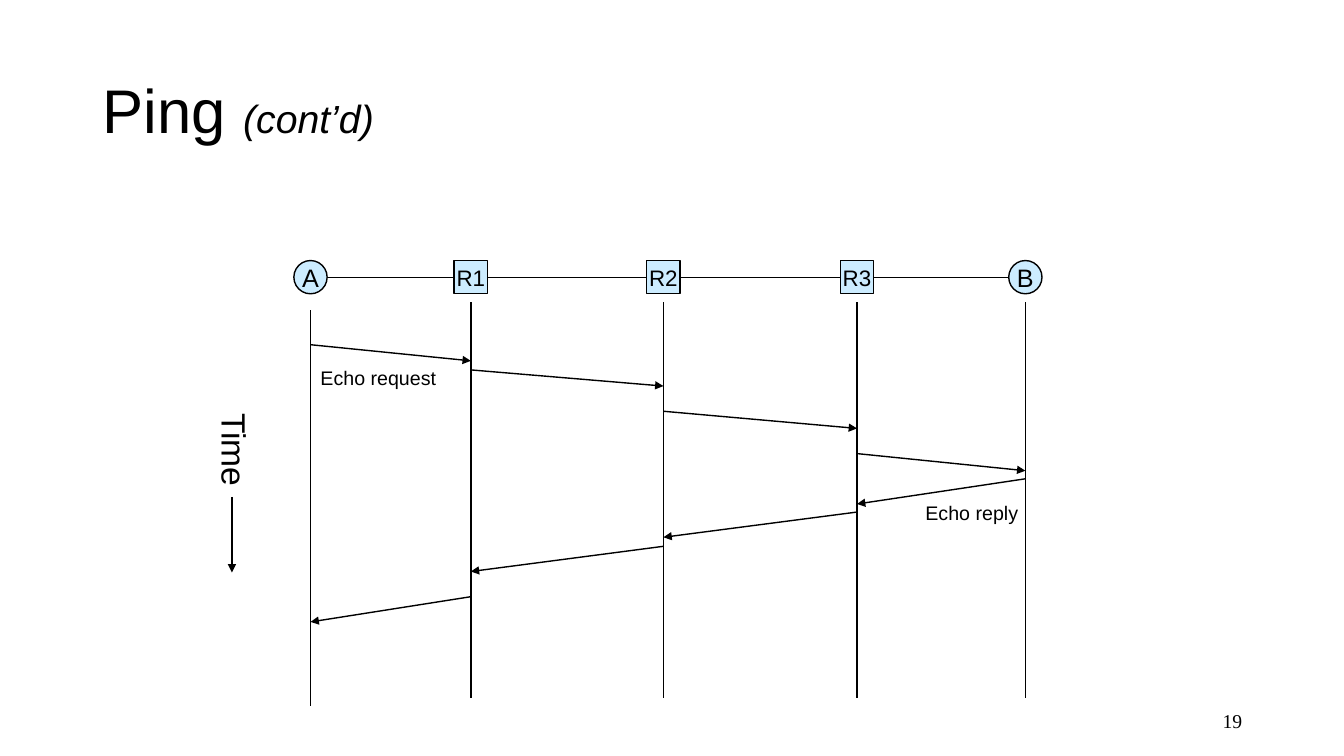
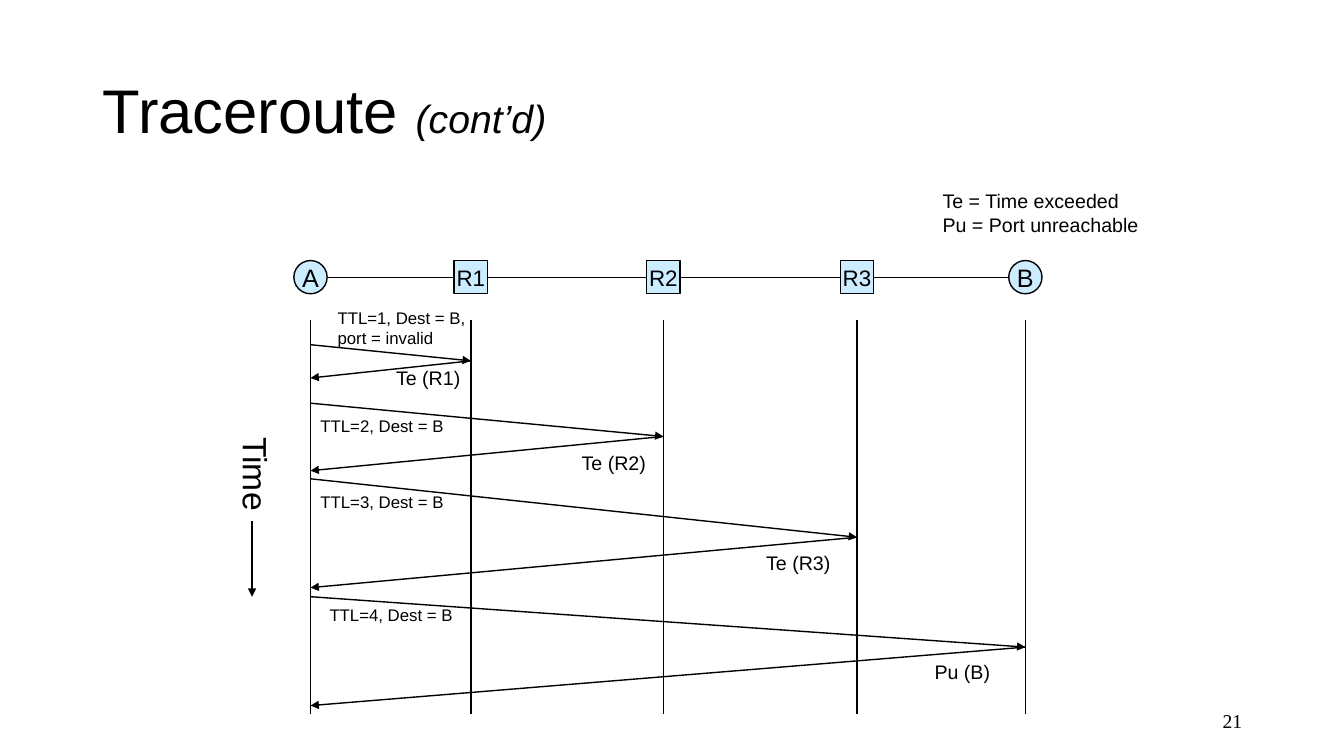
from lxml.etree import SubElement
from pptx import Presentation
from pptx.dml.color import RGBColor
from pptx.enum.shapes import MSO_CONNECTOR, MSO_SHAPE
from pptx.enum.text import MSO_ANCHOR, MSO_AUTO_SIZE, PP_ALIGN
from pptx.oxml.ns import qn
from pptx.util import Inches, Pt

BLACK = RGBColor(0x00, 0x00, 0x00)
SKY = RGBColor(0xCC, 0xEC, 0xFF)

# Content: hosts and routers with the x of each centre
NODES = {"A": 3.08, "R1": 4.67, "R2": 6.58, "R3": 8.5, "B": 10.17}
HOSTS = ("A", "B")
SIDE, MID = 0.33, 2.75

# starts: top of each lifeline; span: lifeline length
# time: box left and top, then arrow x and top
# hops: sender, receiver, y sent, y received
# notes: text, left, top, width, height, size
SLIDES = [
    {
        "title": "Ping ", "page": "19",
        "starts": [3.08, 3, 3, 3, 3], "span": 3.92,
        "time": (1.86, 4.22, 2.3, 4.93),
        "hops": [
            ("A", "R1", 3.42, 3.58), ("R1", "R2", 3.67, 3.83),
            ("R2", "R3", 4.08, 4.25), ("R3", "B", 4.5, 4.67),
            ("B", "R3", 4.75, 5), ("R3", "R2", 5.08, 5.33),
            ("R2", "R1", 5.42, 5.67), ("R1", "A", 5.92, 6.17),
        ],
        "notes": [
            ("Echo request", 3.08, 3.58, 1.35, 0.33, 14),
            ("Echo reply", 9.08, 4.92, 1.12, 0.33, 14),
        ],
    },
    {
        "title": "Traceroute ", "page": "21",
        "starts": [3.17] * 5, "span": 3.91,
        "time": (2.07, 4.46, 2.5, 5.17),
        "hops": [
            ("A", "R1", 3.42, 3.58), ("R1", "A", 3.58, 3.75),
            ("A", "R2", 4, 4.33), ("R2", "A", 4.33, 4.67),
            ("A", "R3", 4.75, 5.33), ("R3", "A", 5.33, 5.83),
            ("A", "B", 5.92, 6.42), ("B", "A", 6.42, 7),
        ],
        "notes": [
            ("TTL=1, Dest = B,\nport = invalid", 3.25, 3, 1.53, 0.5, 12),
            ("TTL=2, Dest = B", 3.08, 4.08, 1.44, 0.3, 12),
            ("TTL=3, Dest = B", 3.08, 4.83, 1.44, 0.3, 12),
            ("TTL=4, Dest = B", 3.17, 5.95, 1.44, 0.3, 12),
            ("Te (R1)", 3.83, 3.58, 0.86, 0.33, 14),
            ("Te (R2)", 5.67, 4.42, 0.86, 0.33, 14),
            ("Te (R3)", 7.5, 5.42, 0.86, 0.33, 14),
            ("Pu (B)", 9.17, 6.5, 0.75, 0.33, 14),
            ("Te = Time exceeded\nPu = Port unreachable",
             9.25, 1.83, 2.15, 0.57, 14),
        ],
    },
]


def style(font, size, **more):
    values = {"name": "Arial", "size": Pt(size), **more}
    for key, value in values.items():
        setattr(font, key, value)
    font.color.rgb = BLACK


def line(slide, x1, y1, x2, y2, arrow=False):
    link = slide.shapes.add_connector(
        MSO_CONNECTOR.STRAIGHT, Inches(x1), Inches(y1), Inches(x2), Inches(y2))
    link.line.color.rgb = BLACK
    link.line.width = Pt(1)
    if arrow:
        SubElement(link.line._get_or_add_ln(), qn("a:tailEnd"), type="triangle")
    SubElement(link._element.spPr, qn("a:effectLst"))


def box(slide, left, top, width, height):
    return slide.shapes.add_textbox(
        Inches(left), Inches(top), Inches(width), Inches(height))


def label(slide, text, left, top, width, height, size):
    shape = box(slide, left, top, width, height)
    frame = shape.text_frame
    frame.text = text
    frame.word_wrap = False
    frame.auto_size = MSO_AUTO_SIZE.SHAPE_TO_FIT_TEXT
    for para in frame.paragraphs:
        style(para.runs[0].font, size)
    return shape


def heading(slide, title, page):
    frame = box(slide, 0.92, 0.4, 11.5, 1.45).text_frame
    frame.word_wrap = True
    frame.vertical_anchor = MSO_ANCHOR.MIDDLE
    para = frame.paragraphs[0]
    para.line_spacing = 0.9
    for text, size, slant in ((title, 44, False), ("(cont’d)", 28, True)):
        run = para.add_run()
        run.text = text
        style(run.font, size, italic=slant)

    # Page number
    frame = box(slide, 9.42, 6.95, 3, 0.4).text_frame
    frame.word_wrap = True
    frame.vertical_anchor = MSO_ANCHOR.MIDDLE
    frame.text = page
    para = frame.paragraphs[0]
    para.alignment = PP_ALIGN.RIGHT
    style(para.runs[0].font, 14, name="Times New Roman")


def network(slide):
    line(slide, NODES["A"] + SIDE / 2, MID, NODES["B"], MID)
    for name, x in NODES.items():
        host = name in HOSTS
        kind = MSO_SHAPE.OVAL if host else MSO_SHAPE.RECTANGLE
        node = slide.shapes.add_shape(
            kind, Inches(x - SIDE / 2), Inches(MID - SIDE / 2),
            Inches(SIDE), Inches(SIDE))
        node.shadow.inherit = False
        node.fill.solid()
        node.fill.fore_color.rgb = SKY
        node.line.color.rgb = BLACK
        node.line.width = Pt(1)
        frame = node.text_frame
        frame.text = name
        frame.word_wrap = False
        frame.vertical_anchor = MSO_ANCHOR.MIDDLE
        para = frame.paragraphs[0]
        para.alignment = PP_ALIGN.CENTER
        style(para.runs[0].font, 18 if host else 16)


def build(deck, data):
    slide = deck.slides.add_slide(deck.slide_layouts[6])
    heading(slide, data["title"], data["page"])
    network(slide)

    # Lifelines
    for x, top in zip(NODES.values(), data["starts"]):
        line(slide, x, top, x, top + data["span"])

    # Time axis
    left, top, x, start = data["time"]
    label(slide, "Time", left, top, 0.94, 0.5, 24).rotation = 90
    line(slide, x, start, x, start + 0.75, arrow=True)

    # Messages and their labels
    for source, target, sent, got in data["hops"]:
        line(slide, NODES[source], sent, NODES[target], got, arrow=True)
    for note in data["notes"]:
        label(slide, *note)


def main():
    deck = Presentation()
    deck.slide_width, deck.slide_height = Inches(13.33), Inches(7.5)
    for data in SLIDES:
        build(deck, data)
    deck.save("out.pptx")


if __name__ == "__main__":
    main()
